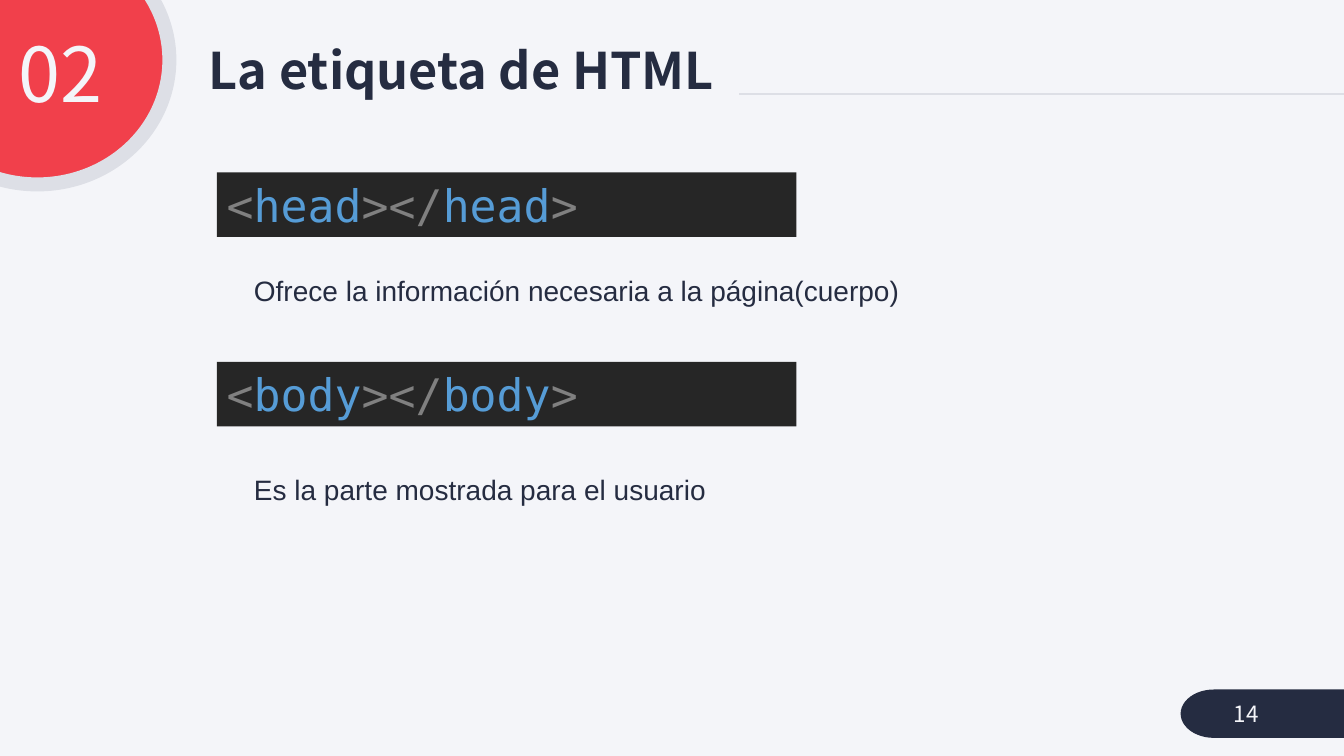
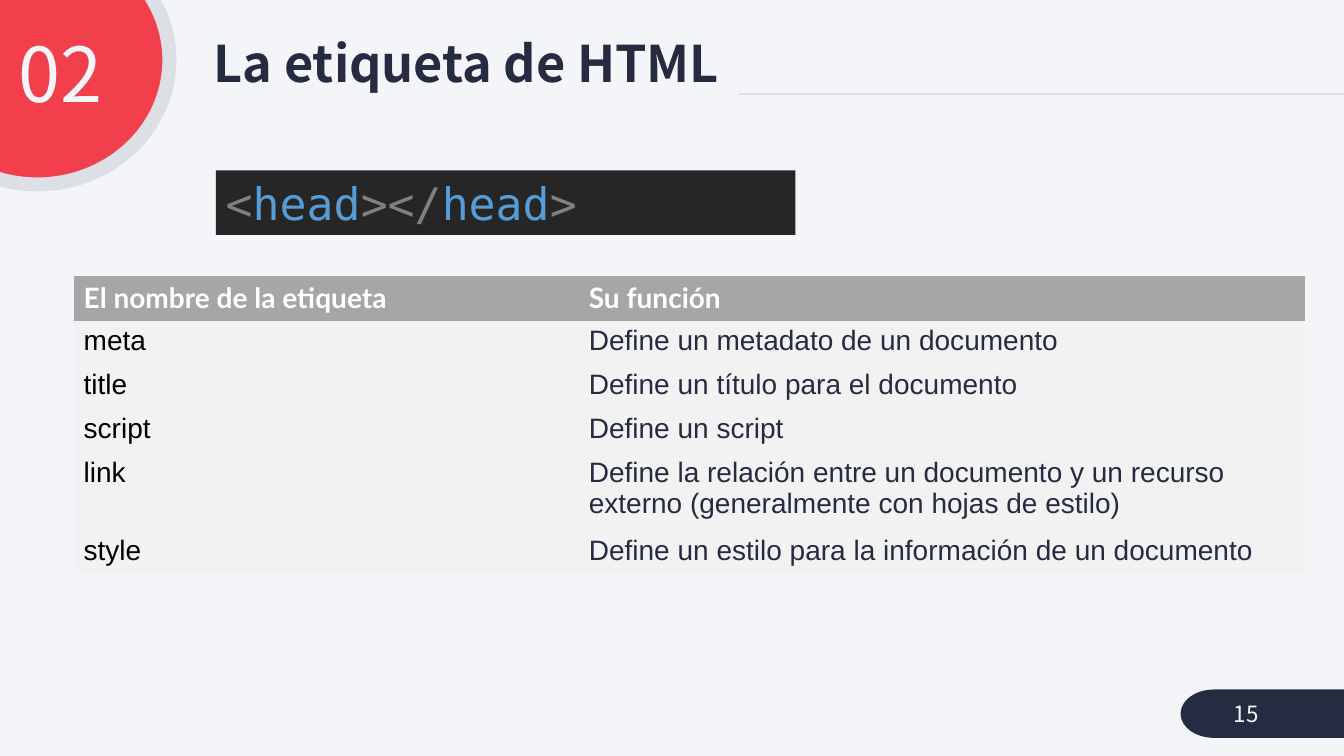
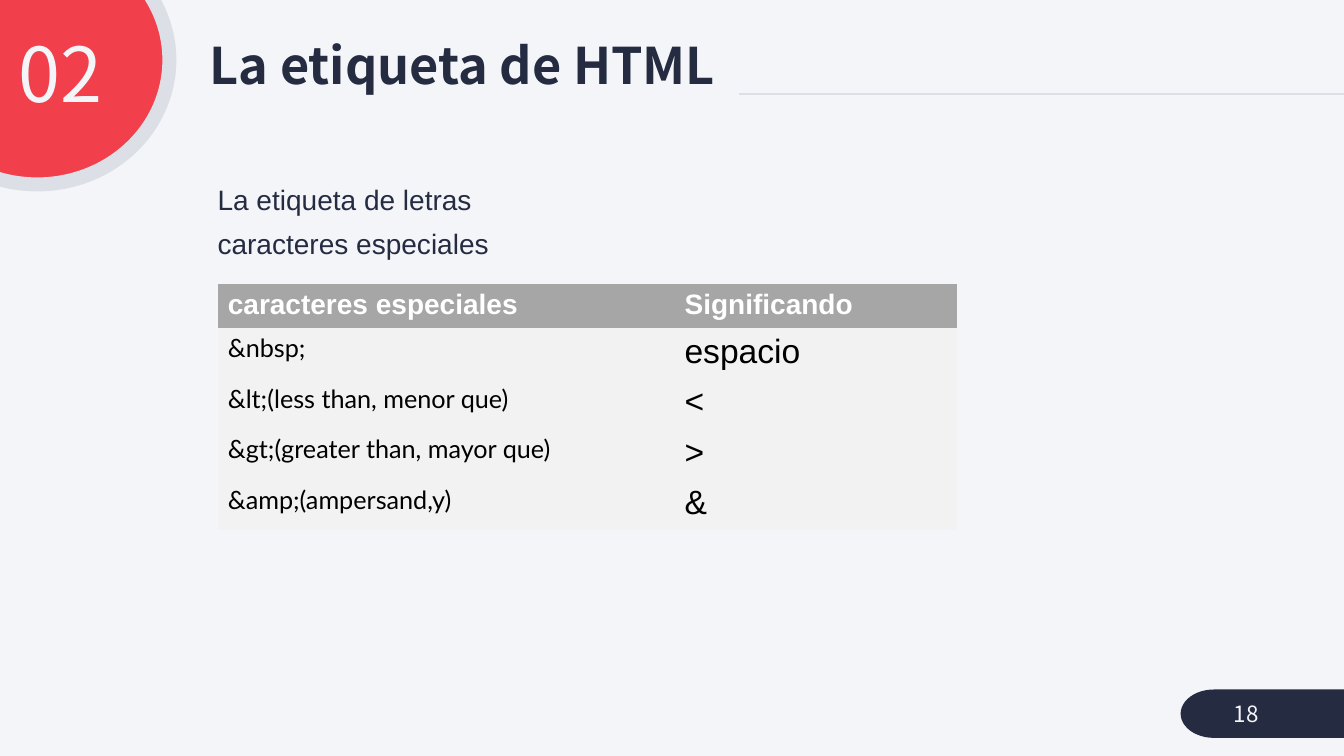
from lxml import etree
from pptx import Presentation
from pptx import util as u
from pptx.dml.color import RGBColor
from pptx.enum import shapes, text
from pptx.oxml import ns

NAVY, RED, PALE, MIST = "252C41", "F1404B", "F4F5F9", "DDDFE6"
CODE_BACK, CODE_MARK, CODE_NAME = "262626", "808080", "569CD6"
HEADER, ROW, WHITE, BLACK = "A6A6A6", "F2F2F2", "FFFFFF", "000000"
SANS, BODY, MONO, HUMAN = "Noto Sans CJK KR", "Arial", "DejaVu Sans Mono", "Lato"
PLAIN_TABLE = "{2D5ABB26-0587-4C30-8999-92F81FD0307C}"


def color(value):
    return RGBColor.from_string(value)


class Slides:
    def __init__(self):
        self.deck = Presentation()
        self.deck.slide_width = u.Inches(13.33)
        self.deck.slide_height = u.Inches(7.5)
        self.page = None

    def place(self, left, top, width, height):
        return [u.Inches(value) for value in (left, top, width, height)]

    def style(self, para, size, font, shade, bold=False):
        para.font.size = u.Pt(size)
        para.font.name = font
        para.font.color.rgb = color(shade)
        para.font.bold = bold

    def start(self, title, title_at, section, number):
        self.page = self.deck.slides.add_slide(self.deck.slide_layouts[5])
        fill = self.page.background.fill
        fill.solid()
        fill.fore_color.rgb = color(PALE)
        self.rule(7.33, 0.93, 13.33)
        self.shape(shapes.MSO_SHAPE.OVAL, (-0.94, -0.64, 2.62, 2.47), RED, MIST)
        self.shape(shapes.MSO_SHAPE.FLOWCHART_TERMINATOR, (11.71, 6.84, 2.05, 0.48), NAVY)
        self.title(title, title_at)
        self.text([section], (-0.11, 0.32, 1.22, 0.92), 54, SANS, PALE,
                  align=text.PP_ALIGN.RIGHT)
        self.text([number], (12.14, 6.88, 1.09, 0.4), 16, SANS, PALE,
                  anchor=text.MSO_ANCHOR.MIDDLE, spacing=1)

    def title(self, words, at):
        box = self.page.shapes.title
        box.left, box.top, box.width, box.height = self.place(*at)
        frame = box.text_frame
        frame.text = words
        frame.auto_size = text.MSO_AUTO_SIZE.NONE
        frame.vertical_anchor = text.MSO_ANCHOR.MIDDLE
        para = frame.paragraphs[0]
        para.alignment = text.PP_ALIGN.LEFT
        para.line_spacing = 0.9
        self.style(para, 36, SANS, NAVY, True)

    def rule(self, left, top, right):
        line = self.page.shapes.add_connector(
            shapes.MSO_CONNECTOR.STRAIGHT, *self.place(left, top, right, top))
        line.line.color.rgb = color(MIST)
        line.line.width = u.Pt(1.5)
        etree.SubElement(line.element.spPr, ns.qn("a:effectLst"))

    def shape(self, kind, at, fill, outline=None):
        shape = self.page.shapes.add_shape(kind, *self.place(*at))
        shape.shadow.inherit = False
        shape.fill.solid()
        shape.fill.fore_color.rgb = color(fill)
        if outline:
            shape.line.color.rgb = color(outline)
            shape.line.width = u.Pt(10)
        else:
            shape.line.fill.background()
        return shape

    def text(self, lines, at, size, font, shade, align=text.PP_ALIGN.LEFT,
             anchor=text.MSO_ANCHOR.TOP, spacing=0.9):
        frame = self.page.shapes.add_textbox(*self.place(*at)).text_frame
        frame.word_wrap = True
        frame.vertical_anchor = anchor
        frame.text = "\n".join(lines)
        for index, para in enumerate(frame.paragraphs):
            para.alignment = align
            para.line_spacing = spacing
            para.space_before = u.Pt(10 if index else 0)
            self.style(para, size, font, shade)

    def body(self, lines, left, top):
        self.text(lines, (left, top, 9, 0.4 * len(lines)), 20, BODY, NAVY)

    def tag(self, name, left, top):
        box = self.shape(shapes.MSO_SHAPE.RECTANGLE, (left, top, 5.75, 0.64), CODE_BACK)
        box.text_frame.vertical_anchor = text.MSO_ANCHOR.TOP
        para = box.text_frame.paragraphs[0]
        para.alignment = text.PP_ALIGN.LEFT
        self.style(para, 32, MONO, CODE_MARK)
        for words in ("<", name, "></", name, ">"):
            span = para.add_run()
            span.text = words
            span.font.color.rgb = color(CODE_NAME if words == name else CODE_MARK)

    def table(self, left, top, widths, heights, rows, header_font, column_styles):
        at = self.place(left, top, sum(widths), sum(heights))
        frame = self.page.shapes.add_table(len(rows), len(widths), *at)
        table = frame.table
        table.horz_banding = False
        frame.element.find(".//" + ns.qn("a:tableStyleId")).text = PLAIN_TABLE
        for column, width in zip(table.columns, widths):
            column.width = u.Inches(width)
        for index, (height, row) in enumerate(zip(heights, rows)):
            table.rows[index].height = u.Inches(height)
            for cell, words, look in zip(table.rows[index].cells, row, column_styles):
                cell.fill.solid()
                cell.fill.fore_color.rgb = color(ROW if index else HEADER)
                cell.text = words
                look = look if index else (20, header_font, WHITE, True)
                self.style(cell.text_frame.paragraphs[0], *look)


def main():
    slides = Slides()
    title, section = "La etiqueta de HTML", "02"

    slides.start(title, (1.97, 0.39, 8.02, 0.67), section, "14")
    slides.tag("head", 2.15, 1.71)
    slides.body(["Ofrece la información necesaria a la página(cuerpo)"], 2.42, 2.7)
    slides.tag("body", 2.15, 3.59)
    slides.body(["Es la parte mostrada para el usuario"], 2.42, 4.68)

    slides.start(title, (2.02, 0.32, 7.36, 0.67), section, "15")
    slides.tag("head", 2.14, 1.69)
    slides.table(
        0.73, 2.74, (5.01, 7.2), (0.44, 0.43, 0.43, 0.44, 0.77, 0.42),
        [("El nombre de la etiqueta", "Su función"),
         ("meta", "Define un metadato de un documento"),
         ("title", "Define un título para el documento"),
         ("script", "Define un script"),
         ("link", "Define la relación entre un documento y un recurso externo "
                  "(generalmente con hojas de estilo)"),
         ("style", "Define un estilo para la información de un documento")],
        HUMAN, [(20, BODY, BLACK), (20, BODY, NAVY)])

    slides.start(title, (1.98, 0.34, 6.8, 0.67), section, "18")
    slides.body(["La etiqueta de letras", "caracteres especiales"], 2.06, 1.8)
    slides.table(
        2.16, 2.82, (4.53, 2.8), (0.42, 0.47, 0.47, 0.47, 0.47),
        [("caracteres especiales", "Significando"),
         ("&nbsp;", "espacio"),
         ("&lt;(less than, menor que)", "<"),
         ("&gt;(greater than, mayor que)", ">"),
         ("&amp;(ampersand,y)", "&")],
        BODY, [(18, HUMAN, BLACK), (24, BODY, BLACK)])

    slides.deck.save("out.pptx")


if __name__ == "__main__":
    main()
